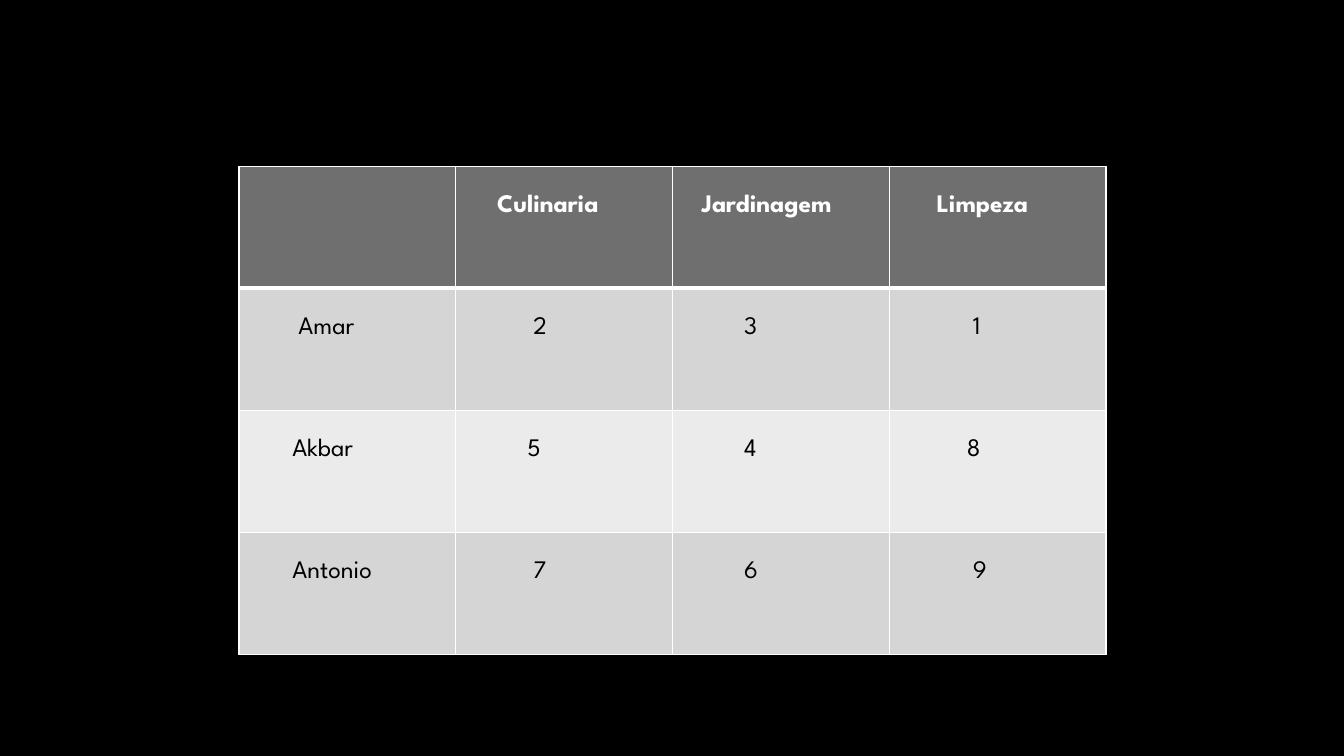
from dataclasses import dataclass

from lxml.etree import SubElement
from pptx import Presentation
from pptx.dml.color import RGBColor
from pptx.oxml.ns import qn
from pptx.slide import Slide
from pptx.table import _Cell as Cell
from pptx.util import Inches, Pt

BLACK = RGBColor(0x00, 0x00, 0x00)
WHITE = RGBColor(0xFF, 0xFF, 0xFF)
HEADER_GRAY = RGBColor(0x6F, 0x6F, 0x6F)
BAND_DARK = RGBColor(0xD5, 0xD5, 0xD5)
BAND_LIGHT = RGBColor(0xEB, 0xEB, 0xEB)

FONT = "League Spartan"
COLUMN_WIDTH = 2.15
ROW_HEIGHT = 1.21
TEXT_TOP = 0.28


@dataclass(frozen=True)
class Entry:
    text: str
    indent: float


TASK_ROWS = [
    [Entry("", 0.1), Entry("Culinaria", 0.41), Entry("Jardinagem", 0.29), Entry("Limpeza", 0.47)],
    [Entry("Amar", 0.59), Entry("2", 0.77), Entry("3", 0.71), Entry("1", 0.83)],
    [Entry("Akbar", 0.53), Entry("5", 0.71), Entry("4", 0.71), Entry("8", 0.77)],
    [Entry("Antonio", 0.53), Entry("7", 0.77), Entry("6", 0.71), Entry("9", 0.83)],
]


def set_borders(cell: Cell, top: float, bottom: float) -> None:
    properties = cell._tc.get_or_add_tcPr()
    widths = {"a:lnL": 1, "a:lnR": 1, "a:lnT": top, "a:lnB": bottom}
    for position, (tag, width) in enumerate(widths.items()):
        line = SubElement(properties, qn(tag), w=str(Pt(width)))
        fill = SubElement(line, qn("a:solidFill"))
        SubElement(fill, qn("a:srgbClr"), val=str(WHITE))
        properties.insert(position, line)


def fill_cell(cell: Cell, entry: Entry, row: int) -> None:
    is_header = row == 0
    cell.fill.solid()
    band = BAND_DARK if row % 2 else BAND_LIGHT
    cell.fill.fore_color.rgb = HEADER_GRAY if is_header else band
    cell.margin_left = Inches(entry.indent)
    cell.margin_top = Inches(TEXT_TOP)
    cell.text = entry.text
    paragraph = cell.text_frame.paragraphs[0]
    paragraph.font.name = FONT
    paragraph.font.size = Pt(18)
    paragraph.font.bold = is_header
    paragraph.font.color.rgb = WHITE if is_header else BLACK
    set_borders(cell, top=3 if row == 1 else 1, bottom=3 if is_header else 1)


def add_task_table(slide: Slide, rows: list[list[Entry]]) -> None:
    row_count, column_count = len(rows), len(rows[0])
    table = slide.shapes.add_table(
        row_count, column_count, Inches(2.37), Inches(1.65),
        Inches(COLUMN_WIDTH * column_count), Inches(ROW_HEIGHT * row_count),
    ).table
    for column in table.columns:
        column.width = Inches(COLUMN_WIDTH)
    for row, entries in enumerate(rows):
        table.rows[row].height = Inches(ROW_HEIGHT)
        for column, entry in enumerate(entries):
            fill_cell(table.cell(row, column), entry, row)


def main() -> None:
    presentation = Presentation()
    presentation.slide_width = Inches(13.33)
    presentation.slide_height = Inches(7.5)
    slide = presentation.slides.add_slide(presentation.slide_layouts[6])
    slide.background.fill.solid()
    slide.background.fill.fore_color.rgb = BLACK
    add_task_table(slide, TASK_ROWS)
    presentation.save("out.pptx")


if __name__ == "__main__":
    main()
